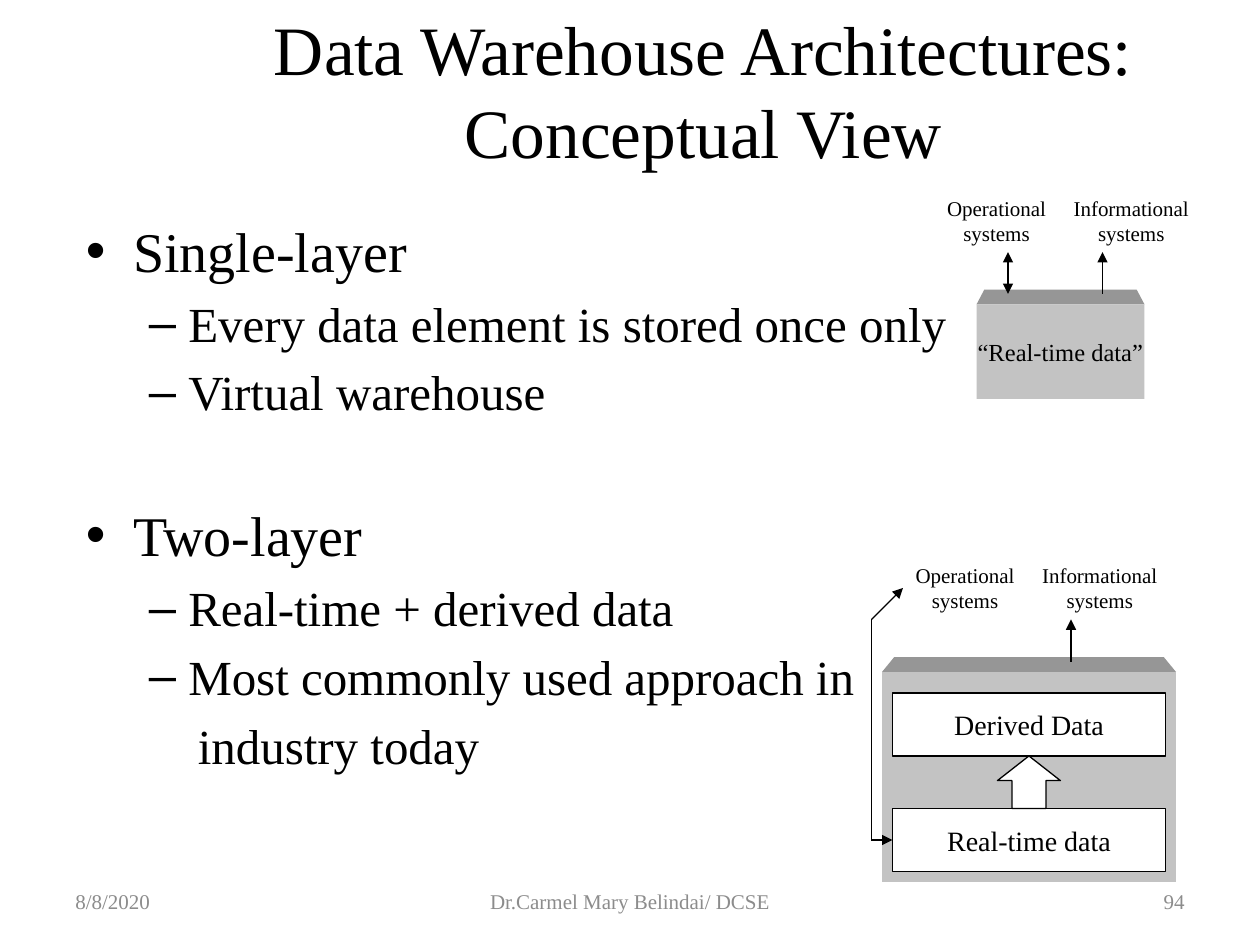
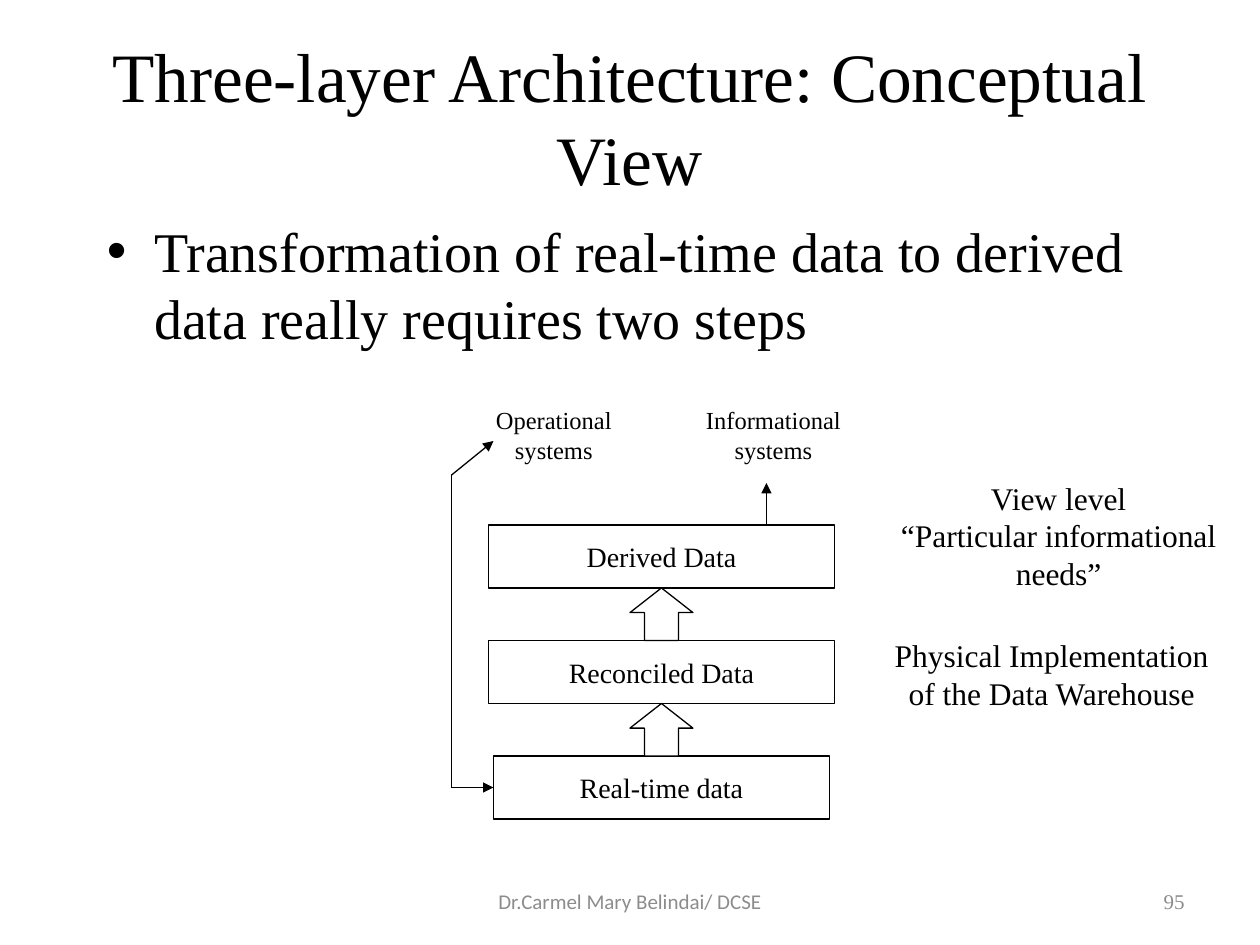
from dataclasses import dataclass

from lxml import etree
from pptx import Presentation
from pptx import util as u
from pptx.dml.color import RGBColor
from pptx.enum import shapes, text
from pptx.oxml.ns import qn

Pt = u.Pt
ALIGN = text.PP_ALIGN
ANCHOR = text.MSO_ANCHOR
SHAPE = shapes.MSO_SHAPE


@dataclass(frozen=True)
class Theme:
    serif: str = "Times New Roman"
    sans: str = "Calibri"
    ink: str = "000000"
    paper: str = "FFFFFF"
    muted: str = "8C8C8C"
    front: str = "C3C3C3"
    lid: str = "969696"
    title: float = 39.6
    bullet: float = 32
    dash: float = 28
    note: float = 18
    box: float = 16
    caption: float = 14
    small: float = 12
    line: float = 0.75


def write(tf, content, *, size, font, color, align=ALIGN.CENTER,
          anchor=ANCHOR.TOP, wrap=True):
    """Fill a text frame, one paragraph per line of content."""
    tf.word_wrap = wrap
    tf.vertical_anchor = anchor
    for i, words in enumerate(content.split("\n")):
        p = tf.paragraphs[0] if i == 0 else tf.add_paragraph()
        p.alignment = align
        r = p.add_run()
        r.text = words
        r.font.size = Pt(size)
        r.font.name = font
        r.font.color.rgb = RGBColor.from_string(color)


class Deck:
    def __init__(self, theme):
        self.t = theme
        self.prs = Presentation()
        self.prs.slide_width, self.prs.slide_height = Pt(720), Pt(540)
        self.s = None

    def slide(self):
        self.s = self.prs.slides.add_slide(self.prs.slide_layouts[6])

    def text(self, content, x, y, w, h, **fmt):
        fmt = {"font": self.t.serif, "color": self.t.ink, **fmt}
        sp = self.s.shapes.add_textbox(Pt(x), Pt(y), Pt(w), Pt(h))
        write(sp.text_frame, content, **fmt)
        return sp

    def title(self, content, x, y, w, h):
        self.text(content, x, y, w, h, size=self.t.title, anchor=ANCHOR.MIDDLE)

    def footer(self, number, date=None, font=None):
        fmt = dict(size=self.t.small, color=self.t.muted, anchor=ANCHOR.MIDDLE)
        y, h = 500.5, 28.75
        if date:
            self.text(date, 36, y, 168, h, align=ALIGN.LEFT, **fmt)
        self.text("Dr.Carmel Mary Belindai/ DCSE", 246, y, 228, h,
                  **{**fmt, "font": font or self.t.serif})
        self.text(number, 516, y, 168, h, align=ALIGN.RIGHT, **fmt)

    def bullets(self, items, x, y, w, h):
        """Items are (kind, words, extra space before)."""
        kinds = {  # size, left margin, first-line indent, bullet sign
            "bullet": (self.t.bullet, 27, -27, "•"),
            "dash": (self.t.dash, 58.5, -22.5, "–"),
            "more": (self.t.dash, 64, 0, None),
        }
        sp = self.text("\n".join(words for _, words, _ in items), x, y, w, h,
                       size=self.t.bullet, align=ALIGN.LEFT)
        for i, (p, (kind, _, extra)) in enumerate(
                zip(sp.text_frame.paragraphs, items)):
            size, margin, indent, sign = kinds[kind]
            if i:
                p.space_before = Pt(0.2 * size + extra)
            pPr = p._p.get_or_add_pPr()
            pPr.set("marL", str(Pt(margin)))
            pPr.set("indent", str(Pt(indent)))
            if sign:
                etree.SubElement(pPr, qn("a:buFont")).set("typeface", "Arial")
                etree.SubElement(pPr, qn("a:buChar")).set("char", sign)
            else:
                etree.SubElement(pPr, qn("a:buNone"))
            p.runs[0].font.size = Pt(size)

    def paint(self, sp, fill, outlined):
        sp.shadow.inherit = False
        sp.fill.solid()
        sp.fill.fore_color.rgb = RGBColor.from_string(fill)
        if outlined:
            sp.line.color.rgb = RGBColor.from_string(self.t.ink)
            sp.line.width = Pt(self.t.line)
        else:
            sp.line.fill.background()

    def box(self, label, x, y, w, h, size=None, fill=None, outlined=True):
        sp = self.s.shapes.add_shape(SHAPE.RECTANGLE, Pt(x), Pt(y), Pt(w), Pt(h))
        self.paint(sp, fill or self.t.paper, outlined)
        if label:
            write(sp.text_frame, label, size=size or self.t.box,
                  font=self.t.serif, color=self.t.ink,
                  anchor=ANCHOR.MIDDLE, wrap=False)

    def block(self, label, x, y, w, h, inset):
        """A grey block with a darker lid receding at its top."""
        lid = 8.5
        fb = self.s.shapes.build_freeform(Pt(x), Pt(y))
        fb.add_line_segments([(Pt(x + inset), Pt(y - lid)),
                              (Pt(x + w - inset), Pt(y - lid)),
                              (Pt(x + w), Pt(y))])
        self.paint(fb.convert_to_shape(), self.t.lid, False)
        self.box(label, x, y, w, h, self.t.caption, self.t.front, False)

    def up_arrow(self, x, y):
        sp = self.s.shapes.add_shape(SHAPE.UP_ARROW, Pt(x), Pt(y), Pt(36), Pt(30))
        sp.adjustments[0], sp.adjustments[1] = 0.54, 0.47
        self.paint(sp, self.t.paper, True)

    def line(self, start, end, head=False, tail=False):
        c = self.s.shapes.add_connector(
            shapes.MSO_CONNECTOR.STRAIGHT, *map(Pt, (*start, *end)))
        c.line.color.rgb = RGBColor.from_string(self.t.ink)
        c.line.width = Pt(self.t.line)
        ln = c.line._get_or_add_ln()
        for tag, wanted in (("a:headEnd", head), ("a:tailEnd", tail)):
            if wanted:
                etree.SubElement(ln, qn(tag)).set("type", "triangle")
        etree.SubElement(c._element.spPr, qn("a:effectLst"))

    def route(self, label, corner, target):
        """Two-way path from a system label round to its data box."""
        bend = (corner[0], target[1])
        self.line(label, corner, head=True)
        self.line(corner, bend)
        self.line(bend, target, tail=True)

    def systems(self, operational_x, informational_x, y, widths, h, size):
        names = ("Operational", "Informational")
        for name, x, w in zip(names, (operational_x, informational_x), widths):
            self.text(f"{name}\nsystems", x, y, w, h, size=size, wrap=False)


def one_and_two_layers(d):
    d.slide()
    d.title("Data Warehouse Architectures: Conceptual View", 138, 0, 528, 102)
    d.bullets([
        ("bullet", "Single-layer", 0),
        ("dash", "Every data element is stored once only", 0),
        ("dash", "Virtual warehouse", 0),
        ("bullet", "Two-layer", 39.4),
        ("dash", "Real-time + derived data", 0),
        ("dash", "Most commonly used approach in", 0),
        ("more", "industry today", 0),
    ], 42, 120, 612, 354)
    d.footer("94", date="8/8/2020")

    # Single-layer diagram
    label_widths = (71, 81)
    d.block("“Real-time data”", 558, 174, 96, 54, inset=4.5)
    d.systems(534, 606, 108, label_widths, 36, d.t.small)
    d.line((576, 144), (576, 168), head=True, tail=True)
    d.line((630, 144), (630, 168), head=True)

    # Two-layer diagram
    d.block("", 504, 384, 168, 120, inset=7)
    for label, y in (("Derived Data", 396), ("Real-time data", 462)):
        d.box(label, 510, y, 156, 36)
    d.up_arrow(570, 432)
    d.systems(516, 588, 318, label_widths, 36, d.t.small)
    d.line((612, 354), (612, 378), head=True)
    d.route((516, 336), (498, 354), (510, 480))


def three_layers(d):
    d.slide()
    d.title("Three-layer Architecture: Conceptual View", 36, 21.6, 648, 90)
    d.bullets([("bullet", "Transformation of real-time data to derived "
                "data really requires two steps", 0)], 54, 120, 612, 97)
    d.footer("95", font=d.t.sans)

    # Stacked layers, joined by arrows
    layers = (("Derived Data", 198), ("Reconciled Data", 198),
              ("Real-time data", 192))
    middle, top, pitch, height = 378, 300, 66, 36
    for i, (label, width) in enumerate(layers):
        y = top + i * pitch
        d.box(label, middle - width / 2, y, width, height)
        if i:
            d.up_arrow(middle - 18, y - 30)

    # Systems and their links
    d.systems(276, 396, 228, (81, 92), 41, d.t.caption)
    d.line((438, 276), (438, 300), head=True)
    d.route((282, 252), (258, 271.5), (282, 450))

    # Side notes
    d.text("View level\n“Particular informational\nneeds”",
           505, 270, 200, 72, size=d.t.note, wrap=False)
    d.text("Physical Implementation\nof the Data Warehouse",
           504, 360, 194, 50, size=d.t.note, wrap=False)


def main():
    d = Deck(Theme())
    one_and_two_layers(d)
    three_layers(d)
    d.prs.save("out.pptx")


if __name__ == "__main__":
    main()
